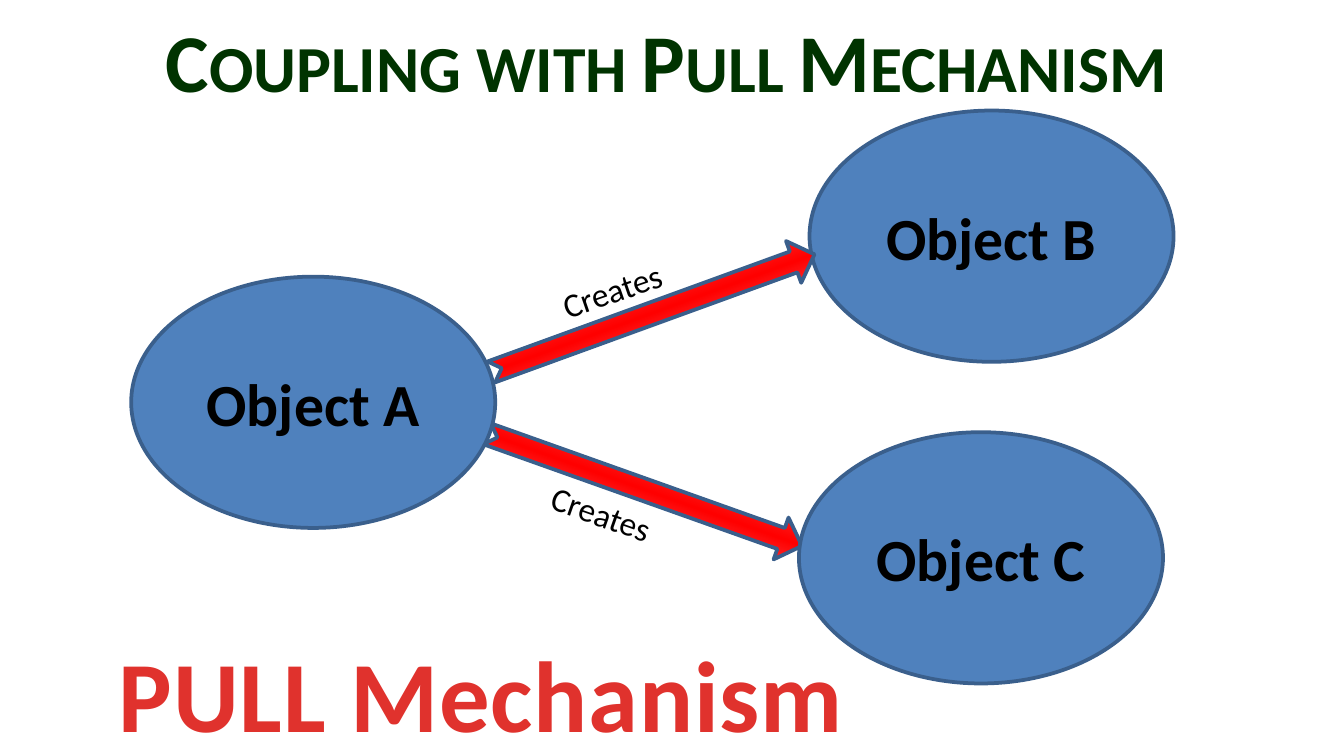
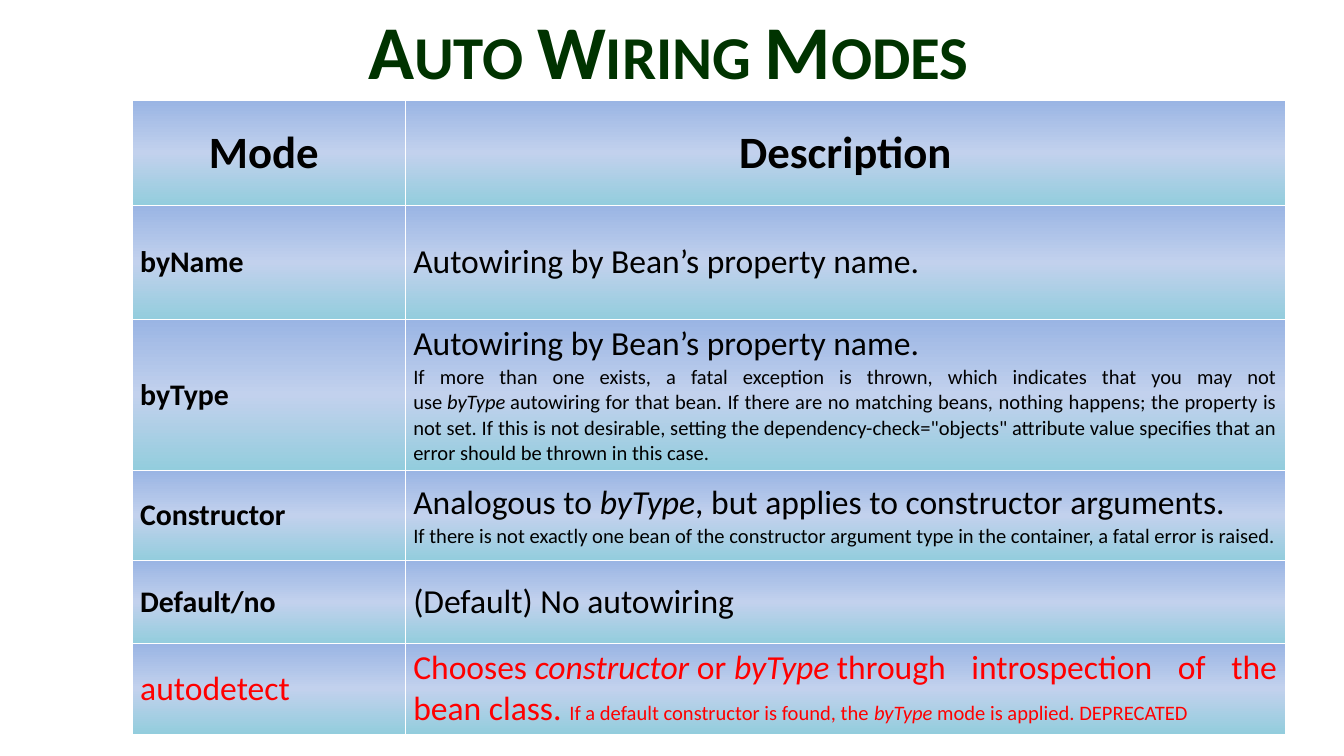
"""Builds two slides: a pull-mechanism diagram and a table of auto wiring modes."""
import lxml.etree
import pptx
import pptx.dml.color
import pptx.enum.shapes
import pptx.enum.text
import pptx.oxml.ns
import pptx.util

Cm = pptx.util.Cm
Pt = pptx.util.Pt
RGBColor = pptx.dml.color.RGBColor
ALIGN = pptx.enum.text.PP_ALIGN
MIDDLE = pptx.enum.text.MSO_ANCHOR.MIDDLE
FIT = pptx.enum.text.MSO_AUTO_SIZE
SHAPE = pptx.enum.shapes.MSO_SHAPE
qn = pptx.oxml.ns.qn

GREEN = RGBColor(0x00, 0x33, 0x00)
BLACK = RGBColor(0x00, 0x00, 0x00)
WHITE = RGBColor(0xFF, 0xFF, 0xFF)
RED = RGBColor(0xFF, 0x00, 0x00)
BLUE = RGBColor(0x4F, 0x81, 0xBD)
NAVY = RGBColor(0x3A, 0x5F, 0x8C)
ARROW_STOPS = [(0, RGBColor(0xEF, 0xA5, 0x9F)), (50, RED), (100, RGBColor(0xE1, 0xE8, 0xF5))]
CELL_STOPS = [(0, RGBColor(0x9A, 0xB5, 0xE4)), (50, RGBColor(0xC2, 0xD1, 0xED)),
              (100, RGBColor(0x93, 0xCD, 0xDD))]
BANNER_STOPS = [(25, RGBColor(0xE0, 0x32, 0x2D)), (100, RGBColor(0xA2, 0x20, 0x1C))]

ITALIC_MARK = "*"
HARD_SPACE_MARK, HARD_SPACE = "~", chr(160)
MODES = [
    ("byName", [[(18, "Autowiring by Bean’s property name.")]]),
    ("byType", [
        [(18, "Autowiring by Bean’s property name. ")],
        [(11, "If more than one exists, a fatal exception is thrown, which indicates that you "
              "may not use~*byType*~autowiring for that bean. If there are no matching beans, "
              "nothing happens; the property is not set. If this is not desirable, setting "
              "the~dependency-check=\"objects\"~attribute value specifies that an error should "
              "be thrown in this case.")]]),
    ("Constructor", [
        [(18, "Analogous to~*byType*, but applies to constructor arguments. ")],
        [(11, "If there is not exactly one bean of the constructor argument type in the "
              "container, a fatal error is raised.")]]),
    ("Default/no", [[(18, "(Default) No autowiring")]]),
    ("autodetect", [
        [(18, "Chooses~*constructor*~or~*byType*~through introspection of the bean class. "),
         (11, "If a default constructor is found, the~*byType*~mode is applied. DEPRECATED")]]),
]


class Deck:
    """Holds the shared style and the current slide."""

    def __init__(self):
        self.prs = pptx.Presentation()
        self.prs.slide_width, self.prs.slide_height = Cm(25.4), Cm(14.29)
        self.slide = None

    def style(self, paragraph, size, color=BLACK, bold=False, align=ALIGN.LEFT):
        paragraph.alignment = align
        font = paragraph.font
        font.name, font.size, font.bold = "Calibri", Pt(size), bold
        font.color.rgb = color

    def gradient(self, fill, owner, stops):
        fill.gradient()
        fill.gradient_angle = 270
        stop_list = owner.find(qn("a:gradFill")).find(qn("a:gsLst"))
        for old in list(stop_list):
            stop_list.remove(old)
        for percent, color in stops:
            stop = lxml.etree.SubElement(stop_list, qn("a:gs"), pos=str(percent * 1000))
            lxml.etree.SubElement(stop, qn("a:srgbClr"), val=str(color))

    def title(self, text, left, width, height, size):
        self.slide = self.prs.slides.add_slide(self.prs.slide_layouts[5])
        heading = self.slide.shapes.title
        heading.left, heading.top = Cm(left), Cm(-0.03)
        heading.width, heading.height = Cm(width), Cm(height)
        frame = heading.text_frame
        frame.text = text
        frame.word_wrap, frame.auto_size = True, FIT.NONE
        frame.vertical_anchor = MIDDLE
        paragraph = frame.paragraphs[0]
        self.style(paragraph, size, GREEN, True, ALIGN.CENTER)
        paragraph.runs[0]._r.get_or_add_rPr().set("cap", "small")

    def shape(self, kind, left, top, width, height):
        shape = self.slide.shapes.add_shape(kind, Cm(left), Cm(top), Cm(width), Cm(height))
        shape.shadow.inherit = False
        shape.line.color.rgb, shape.line.width = NAVY, Pt(2)
        return shape

    def ellipse(self, text, left, top):
        ellipse = self.shape(SHAPE.OVAL, left, top, 6.88, 4.75)
        ellipse.fill.solid()
        ellipse.fill.fore_color.rgb = BLUE
        frame = ellipse.text_frame
        frame.text, frame.vertical_anchor = text, MIDDLE
        self.style(frame.paragraphs[0], 32, BLACK, True, ALIGN.CENTER)

    def arrow(self, left, top, width, angle):
        arrow = self.shape(SHAPE.NOTCHED_RIGHT_ARROW, left, top, width, 0.84)
        arrow.rotation = angle
        self.gradient(arrow.fill, arrow._element.spPr, ARROW_STOPS)

    def text(self, text, left, top, width, height, wrap=True, angle=0):
        box = self.slide.shapes.add_textbox(Cm(left), Cm(top), Cm(width), Cm(height))
        box.rotation = angle
        frame = box.text_frame
        frame.text = text
        frame.word_wrap, frame.auto_size = wrap, FIT.SHAPE_TO_FIT_TEXT
        return frame.paragraphs[0]

    def label(self, text, left, top, angle):
        self.style(self.text(text, left, top, 3.73, 1.02, angle=angle), 18)

    def banner(self, text, left, top, width, height):
        paragraph = self.text(text, left, top, width, height, wrap=False)
        self.style(paragraph, 54, BANNER_STOPS[0][1], True, ALIGN.CENTER)
        run = paragraph.runs[0]
        properties = run._r.get_or_add_rPr()
        properties.set("spc", "50")
        self.gradient(run.font.fill, properties, BANNER_STOPS)

    def cell(self, cell, paragraphs, color=BLACK, bold=False, align=ALIGN.JUSTIFY, side=0.15):
        cell.vertical_anchor = MIDDLE
        cell.margin_left = cell.margin_right = Cm(side)
        cell.margin_top = cell.margin_bottom = Cm(0.08)
        properties = cell._tc.get_or_add_tcPr()
        self.gradient(cell.fill, properties, CELL_STOPS)
        for position, edge in enumerate(("a:lnL", "a:lnR", "a:lnT", "a:lnB")):
            border = lxml.etree.Element(qn(edge), w=str(Pt(0.5)))
            paint = lxml.etree.SubElement(border, qn("a:solidFill"))
            lxml.etree.SubElement(paint, qn("a:srgbClr"), val=str(WHITE))
            properties.insert(position, border)
        frame = cell.text_frame
        for index, segments in enumerate(paragraphs):
            paragraph = frame.add_paragraph() if index else frame.paragraphs[0]
            main_size = segments[0][0]
            self.style(paragraph, main_size, color, bold, align)
            for size, marked in segments:
                spaced = marked.replace(HARD_SPACE_MARK, HARD_SPACE)
                for part, words in enumerate(spaced.split(ITALIC_MARK)):
                    run = paragraph.add_run()
                    run.text = words
                    if part % 2:
                        run.font.italic = True
                    if size != main_size:
                        run.font.size = Pt(size)

    def table(self, left, top, widths, heights):
        table = self.slide.shapes.add_table(
            len(heights), len(widths), Cm(left), Cm(top),
            Cm(sum(widths)), Cm(sum(heights))).table
        table.first_row = table.horz_banding = False
        for column, width in zip(table.columns, widths):
            column.width = Cm(width)
        for row, height in zip(table.rows, heights):
            row.height = Cm(height)
        return table


def main():
    deck = Deck()

    deck.title("Coupling with Pull Mechanism", -0.11, 25.4, 2.31, 44)
    deck.ellipse("Object B", 15.3, 2.09)
    deck.arrow(9.09, 5.5, 6.5, 340)
    deck.arrow(9.02, 8.84, 6.32, 19.6)
    deck.ellipse("Object C", 15.1, 8.17)
    deck.ellipse("Object A", 2.48, 5.23)
    deck.label("Creates", 10.31, 4.76, 340.9)
    deck.label("Creates", 10.11, 9.41, 19.4)
    deck.banner("PULL Mechanism", 1.91, 11.81, 14.38, 2.57)

    deck.title("Auto Wiring Modes", -0.16, 25.58, 1.93, 40.7)
    modes = deck.table(2.5, 1.9, [5.16, 16.63], [1.98, 2.16, 2.49, 1.71, 1.56, 1.55])
    for column, heading in enumerate(("Mode ", "Description")):
        deck.cell(modes.cell(0, column), [[(24, heading)]], bold=True,
                  align=ALIGN.CENTER, side=0.2)
    for row, (mode, description) in enumerate(MODES, start=1):
        deprecated = mode == "autodetect"
        color = RED if deprecated else BLACK
        deck.cell(modes.cell(row, 0), [[(18 if deprecated else 16, mode)]],
                  color, bold=not deprecated)
        deck.cell(modes.cell(row, 1), description, color)

    deck.prs.save("out.pptx")


if __name__ == "__main__":
    main()
